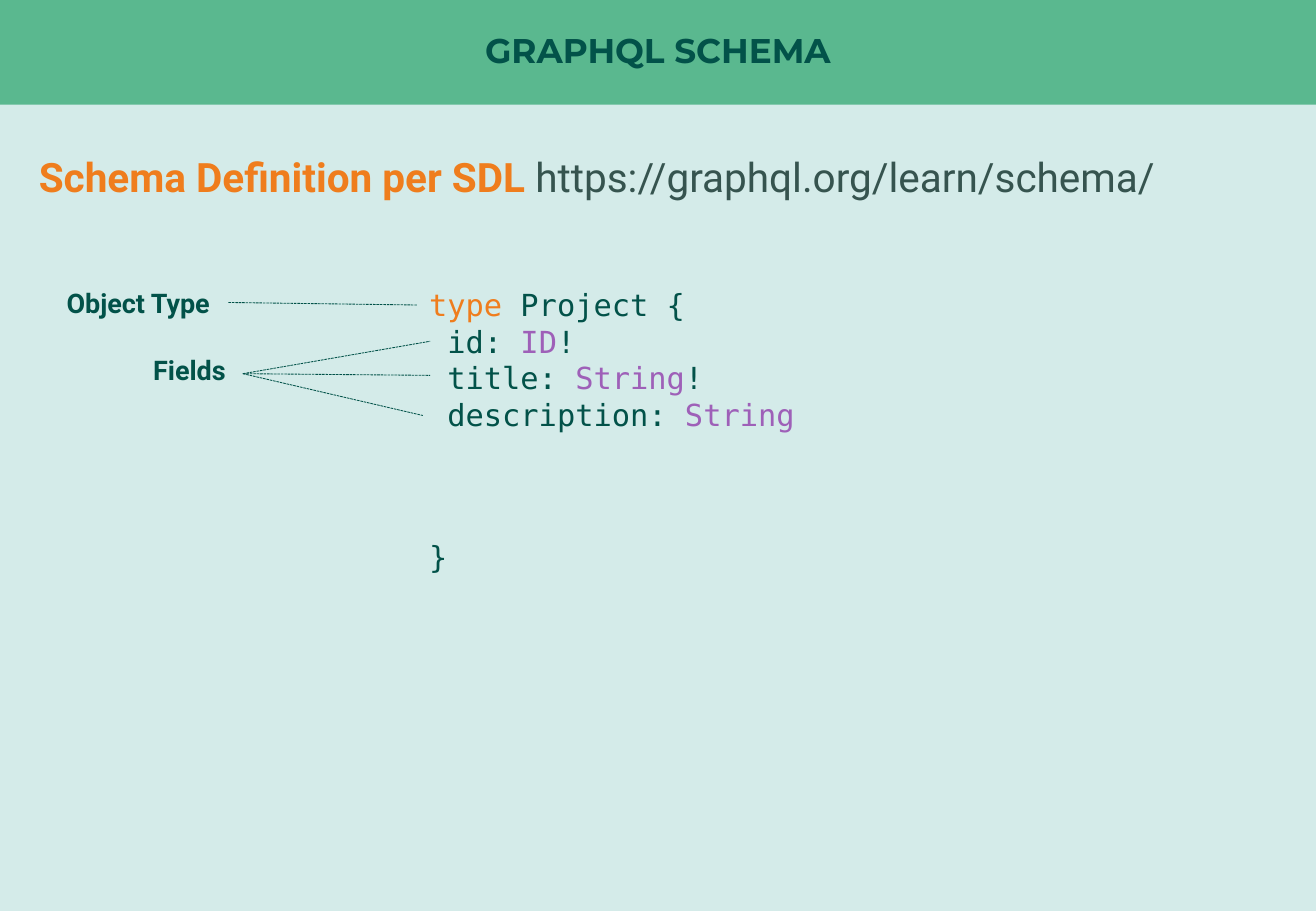
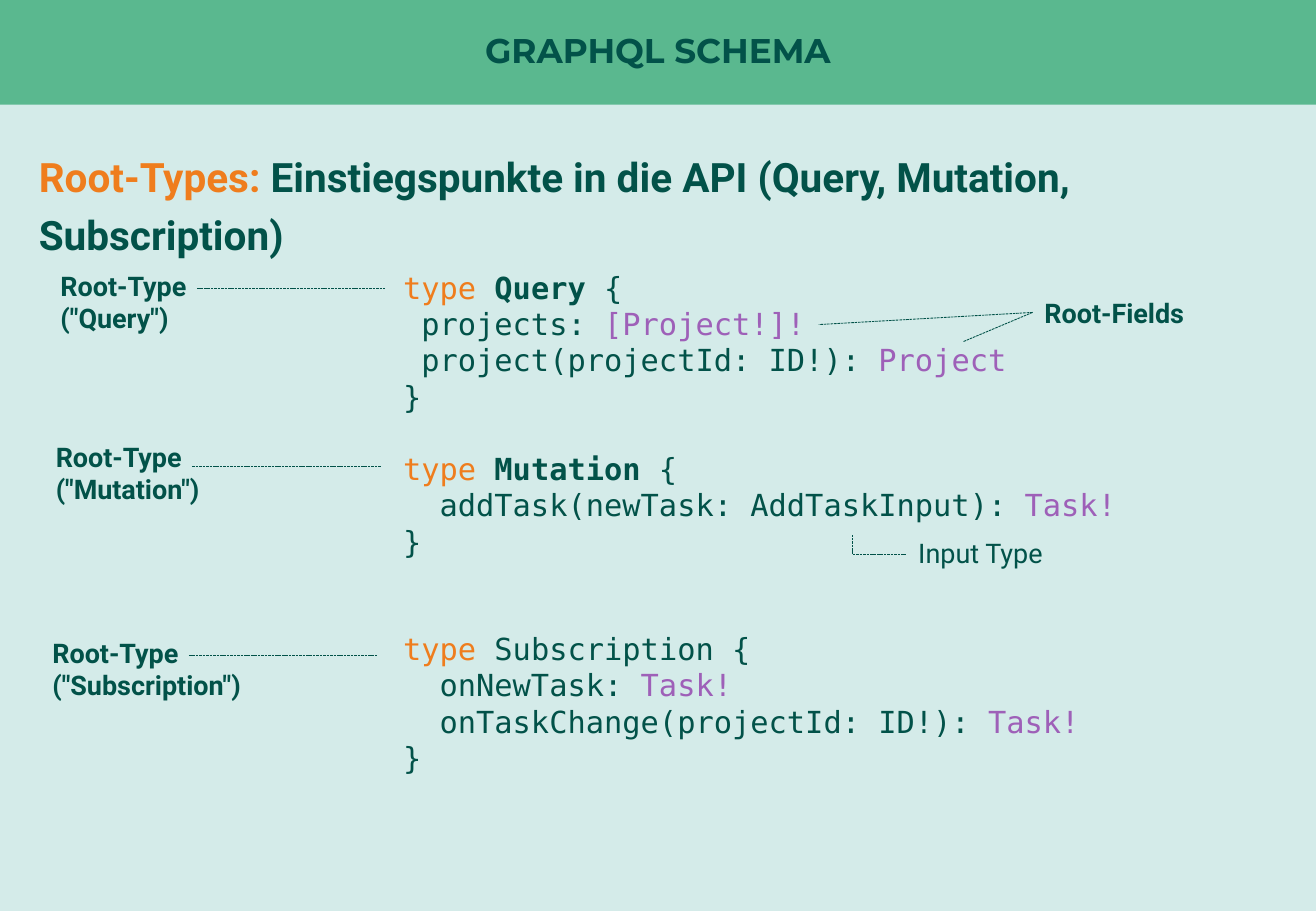
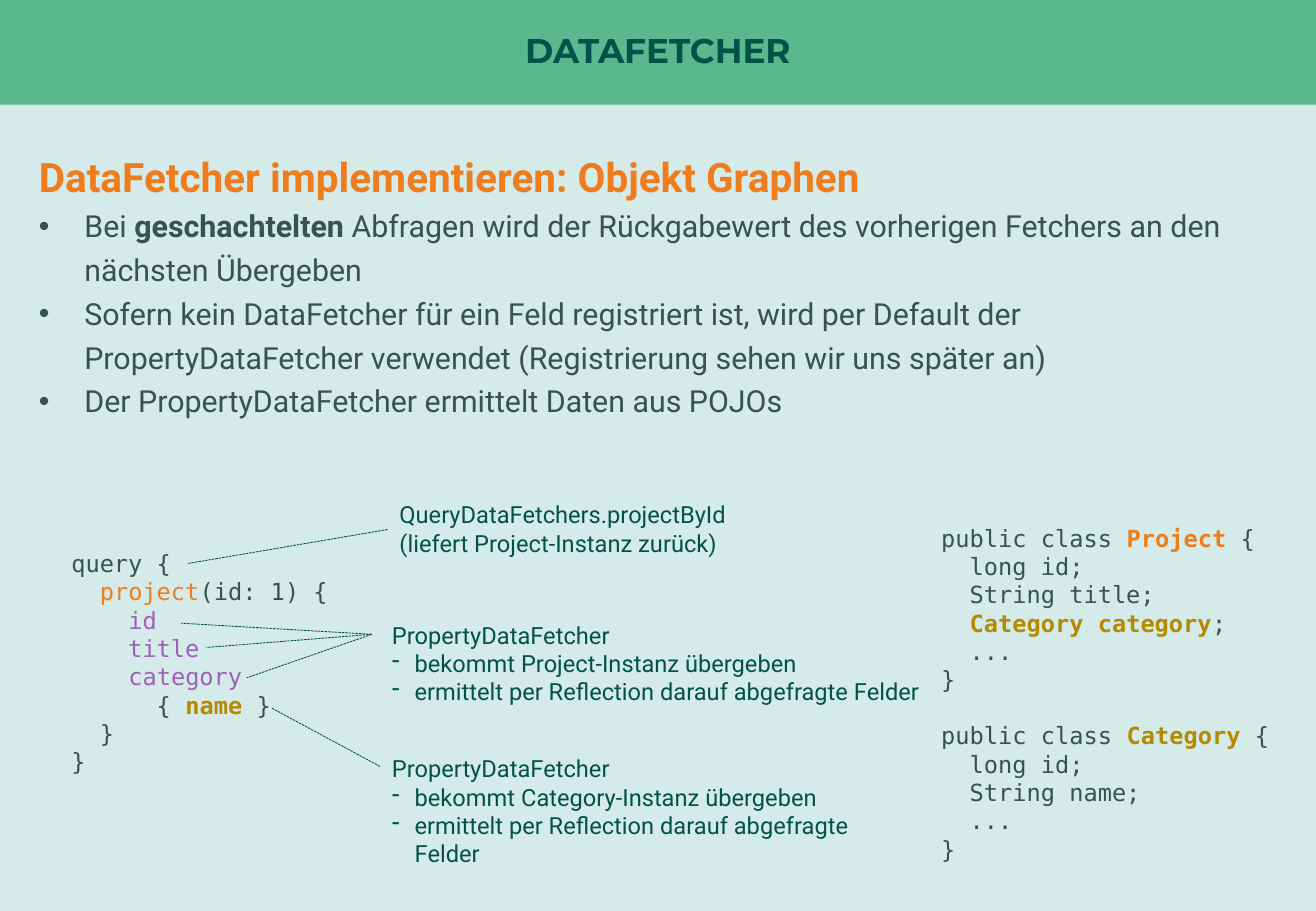
from dataclasses import dataclass

from lxml import etree
from pptx import Presentation
from pptx import util as u
from pptx.dml import color as c
from pptx.enum import dml, shapes, text
from pptx.oxml import ns

COLORS = {
    "mint": "D4EBE9", "green": "5AB88F", "dark": "025249", "gray": "36544F",
    "orange": "EF7D1D", "purple": "9E60B8", "gold": "B58900",
}
TITLE_FONT, TEXT_FONT, CODE_FONT = "Montserrat", "Roboto", "DejaVu Sans Mono"
CODE_LINE = 1.164  # line height of the code font, in ems
SLIDE_WIDTH, SLIDE_HEIGHT, BAND_HEIGHT = 780, 540, 62


@dataclass
class Box:
    left: float
    top: float
    width: float
    height: float

    def inside(self, x, y, width, height):
        return Box(self.left + x, self.top + y, width, height)

    def points(self):
        return [u.Pt(v) for v in (self.left, self.top, self.width, self.height)]


def rgb(name):
    return c.RGBColor.from_string(COLORS[name])


def place(shape, box):
    shape.left, shape.top, shape.width, shape.height = box.points()


# Text: a line is a string or a list of strings and (string, style) pairs;
# a style is a colour name, "bold" or "plain", or several of them
def write(paragraph, line, font, size, color="dark", bold=False,
          bullet=None, indent=0, spacing=1.0, before=0):
    properties = paragraph._p.get_or_add_pPr()
    properties.set("marL", str(u.Pt(indent)))
    properties.set("indent", str(-u.Pt(indent)))
    if bullet:
        etree.SubElement(properties, ns.qn("a:buChar")).set("char", bullet)
    else:
        etree.SubElement(properties, ns.qn("a:buNone"))
    paragraph.line_spacing = spacing
    paragraph.space_before = u.Pt(before)
    paragraph.font.name = font
    paragraph.font.size = u.Pt(size)
    paragraph.font.bold = bold
    paragraph.font.color.rgb = rgb(color)
    for part in [line] if isinstance(line, str) else line:
        content, style = (part, "") if isinstance(part, str) else part
        run = paragraph.add_run()
        run.text = content
        for word in style.split():
            if word in COLORS:
                run.font.color.rgb = rgb(word)
            else:
                run.font.bold = word == "bold"


def next_paragraph(frame):
    first = frame.paragraphs[0]
    return frame.add_paragraph() if first.runs else first


def add_text(slide, box):
    frame = slide.shapes.add_textbox(*box.points()).text_frame
    frame.word_wrap = True
    return frame


def add_label(slide, box, lines, size=16, bold=True):
    frame = add_text(slide, box)
    for line in lines:
        write(next_paragraph(frame), line, TEXT_FONT, size, bold=bold)
    return frame


def add_code(slide, box, blocks, size, color="dark"):
    """Each block is (blank lines above it, its lines)."""
    frame = add_text(slide, box)
    for gap, lines in blocks:
        for index, line in enumerate(lines):
            before = gap * size * CODE_LINE if index == 0 else 0
            write(next_paragraph(frame), line, CODE_FONT, size, color, before=before)


def add_leaders(slide, box, hub, *ends):
    """Dashed lines from one hub to each end, relative to the box."""
    for end in ends:
        line = slide.shapes.add_connector(
            shapes.MSO_CONNECTOR.STRAIGHT,
            u.Pt(box.left + hub[0]), u.Pt(box.top + hub[1]),
            u.Pt(box.left + end[0]), u.Pt(box.top + end[1]))
        line.line.color.rgb = rgb("dark")
        line.line.width = u.Pt(0.5)
        line.line.dash_style = dml.MSO_LINE.SQUARE_DOT
        etree.SubElement(line._element.spPr, ns.qn("a:effectLst"))


# Shared look: background and title band live in the layout
def prepare_layout(presentation):
    layout = presentation.slide_layouts[1]
    layout.background.fill.solid()
    layout.background.fill.fore_color.rgb = rgb("mint")
    place(layout.placeholders[0], Box(0, 0, SLIDE_WIDTH, BAND_HEIGHT))
    return layout


def add_band(slide, layout):
    band = slide.shapes.add_shape(
        shapes.MSO_SHAPE.RECTANGLE, *Box(0, 0, SLIDE_WIDTH, BAND_HEIGHT).points())
    band.shadow.inherit = False
    band.fill.solid()
    band.fill.fore_color.rgb = rgb("green")
    band.line.fill.background()
    layout.shapes.element.insert(2, band._element)


def add_slide(presentation, layout, title, heading, body_box, bullets=()):
    slide = presentation.slides.add_slide(layout)
    frame = slide.shapes.title.text_frame
    frame.margin_left = frame.margin_right = frame.margin_top = frame.margin_bottom = 0
    frame.vertical_anchor = text.MSO_ANCHOR.MIDDLE
    frame.auto_size = text.MSO_AUTO_SIZE.NONE
    write(frame.paragraphs[0], title, TITLE_FONT, 20.3, bold=True, spacing=0.9)
    frame.paragraphs[0].alignment = text.PP_ALIGN.CENTER

    body = slide.placeholders[1]
    place(body, body_box)
    frame = body.text_frame
    frame.auto_size = text.MSO_AUTO_SIZE.NONE
    write(frame.paragraphs[0], heading, TEXT_FONT, 24, "orange", True, spacing=1.2)
    for bullet in bullets:
        write(next_paragraph(frame), bullet, TEXT_FONT, 18, "gray",
              bullet="•", indent=27, spacing=1.2)
    return slide


# Object type with its fields
def add_object_type(slide, box):
    add_code(slide, box.inside(214.8, 0, 322, 247), [
        (0, [[("type", "orange"), " Project {"],
             [" id: ", ("ID", "purple"), "!"],
             [" title: ", ("String", "purple"), "!"],
             [" description: ", ("String", "purple")]]),
        (3, ["}"]),
    ], 18)
    add_label(slide, box.inside(0, 0, 104, 27), ["Object Type"])
    add_leaders(slide, box, (103, 13), (214.8, 14.5))
    add_label(slide, box.inside(51.3, 39.8, 104, 27), ["Fields"])
    add_leaders(slide, box, (111.6, 55.2), (222.6, 36), (222.6, 56.2), (218.2, 80))


# Root types, each with a label and a leader to the code
def add_root_label(slide, box, name, drop):
    add_label(slide, box, ["Root-Type", f'("{name}")'])
    add_leaders(slide, box, (88, drop), (199.6, drop))


def add_root_types(slide, box):
    add_code(slide, box.inside(207.8, 0, 495.4, 334), [
        (0, [[("type ", "orange"), ("Query", "bold"), " {"],
             [" projects: ", ("[Project!]!", "purple")],
             [" project(projectId: ID!): ", ("Project", "purple")],
             "}"]),
        (1, [[("type ", "orange"), ("Mutation", "bold"), " {"],
             ["  addTask(newTask: AddTaskInput): ", ("Task!", "purple")],
             "}"]),
        (2, [[("type ", "orange"), "Subscription {"],
             ["  onNewTask: ", ("Task!", "purple")],
             ["  onTaskChange(projectId: ID!): ", ("Task!", "purple")],
             "}"]),
    ], 18)
    for name, x, y, drop in [("Query", 4.8, 0.5, 14.6),
                             ("Mutation", 2, 101.9, 18.7),
                             ("Subscription", 0, 218, 14.6)]:
        add_root_label(slide, box.inside(x, y, 150, 46), name, drop)
    add_label(slide, box.inside(588, 16.4, 150, 27), ["Root-Fields"])
    add_leaders(slide, box, (588, 29.5), (461.3, 36.7), (547, 46.8))
    add_label(slide, box.inside(513.2, 159, 150, 27), ["Input Type"], bold=False)
    add_leaders(slide, box, (481.5, 172.7), (513.2, 172.7), (481.5, 161.2))


# Query, the fetchers that answer it, and the classes behind it
def add_fetcher_note(slide, box, instance):
    frame = add_label(slide, box, ["PropertyDataFetcher"], 14, False)
    for line in (f"bekommt {instance}-Instanz übergeben",
                 "ermittelt per Reflection darauf abgefragte Felder"):
        write(next_paragraph(frame), line, TEXT_FONT, 14, bullet="-", indent=13.5)


def add_object_graph(slide, box):
    add_code(slide, box.inside(0, 28.8, 185, 143), [
        (0, ["query {",
             ["  ", ("project", "orange"), "(id: 1) {"],
             ["    ", ("id", "purple")],
             [("    title", "purple")],
             ["    ", ("category", "purple")],
             ["      { ", ("name", "gold bold"), " }"],
             "  }",
             "}"]),
    ], 14, "gray")
    add_label(slide, box.inside(194.5, 0, 291, 41),
              ["QueryDataFetchers.projectById", "(liefert Project-Instanz zurück)"],
              14, False)
    add_fetcher_note(slide, box.inside(190, 71.3, 363, 58), "Project")
    add_fetcher_note(slide, box.inside(190, 150.5, 325.4, 58), "Category")
    add_leaders(slide, box, (194.5, 20.9), (76.5, 41))
    add_leaders(slide, box, (185.2, 83), (72, 76.4), (87.2, 90.8), (111, 108.8))
    add_leaders(slide, box, (190, 161.3), (126, 126.8))
    add_code(slide, box.inside(515.6, 13.8, 223, 215), [
        (0, [["public class ", ("Project", "orange bold"), " {"],
             "  long id;",
             "  String title;",
             ["  ", ("Category category", "gold bold"), ";"],
             "  ...",
             "}"]),
        (1, [["public class ", ("Category", "gold bold"), " {"],
             "  long id;",
             "  String name;",
             "  ...",
             "}"]),
    ], 14, "gray")


def main():
    presentation = Presentation()
    presentation.slide_width = u.Pt(SLIDE_WIDTH)
    presentation.slide_height = u.Pt(SLIDE_HEIGHT)
    layout = prepare_layout(presentation)
    body = Box(15.8, 80.6, 748, 76)

    slide = add_slide(
        presentation, layout, "GRAPHQL SCHEMA",
        ["Schema Definition per SDL ", ("https://graphql.org/learn/schema/", "gray plain")],
        body)
    add_band(slide, layout)
    add_object_type(slide, Box(32.4, 166.3, 537, 247))

    slide = add_slide(
        presentation, layout, "GRAPHQL SCHEMA",
        ["Root-Types: ",
         ("Einstiegspunkte in die API (Query, Mutation, Subscription)", "dark")],
        body)
    add_root_types(slide, Box(24, 155.7, 738, 334))

    slide = add_slide(
        presentation, layout, "DATAFETCHER",
        "DataFetcher implementieren: Objekt Graphen", Box(15.8, 80.6, 739, 197),
        [["Bei ", ("geschachtelten", "bold"), " Abfragen wird der Rückgabewert des "
          "vorherigen Fetchers an den nächsten Übergeben"],
         "Sofern kein DataFetcher für ein Feld registriert ist, wird per Default der "
         "PropertyDataFetcher verwendet (Registrierung sehen wir uns später an)",
         "Der PropertyDataFetcher ermittelt Daten aus POJOs"])
    add_object_graph(slide, Box(35.2, 293, 739, 229))

    presentation.save("out.pptx")


if __name__ == "__main__":
    main()
